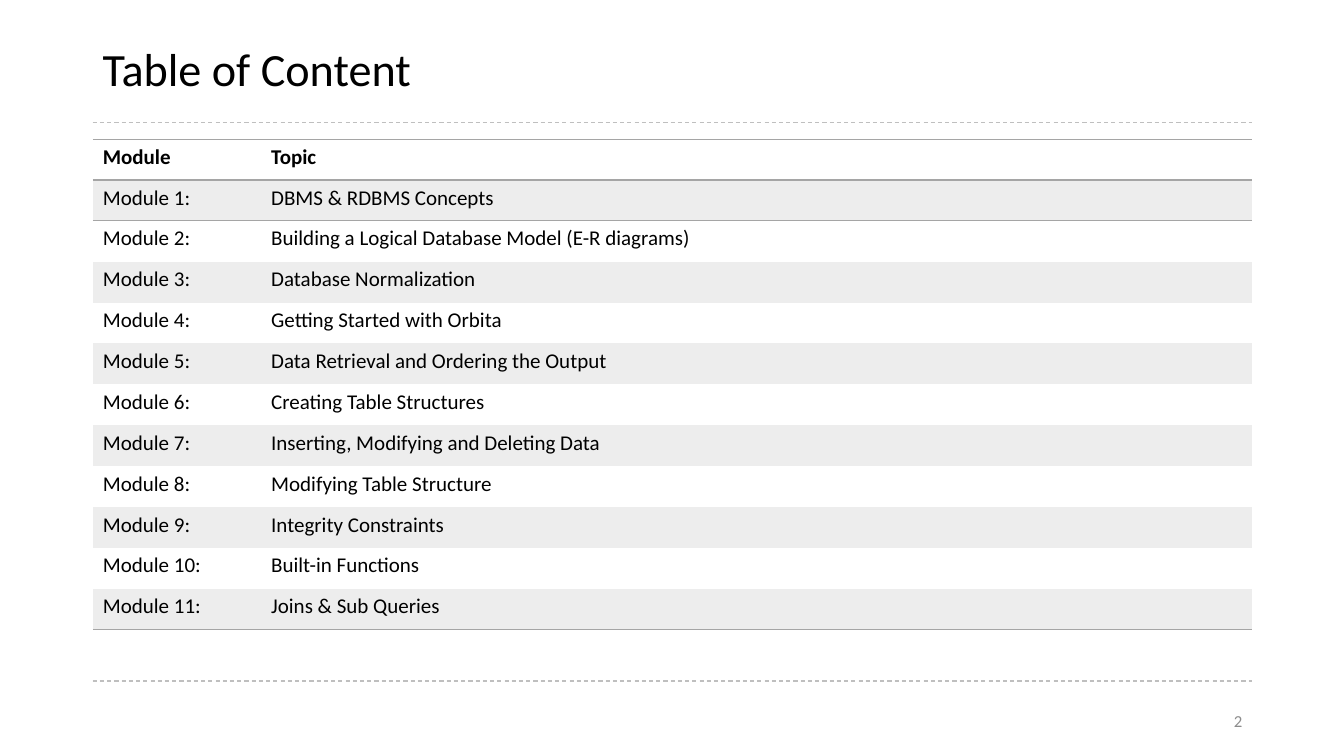
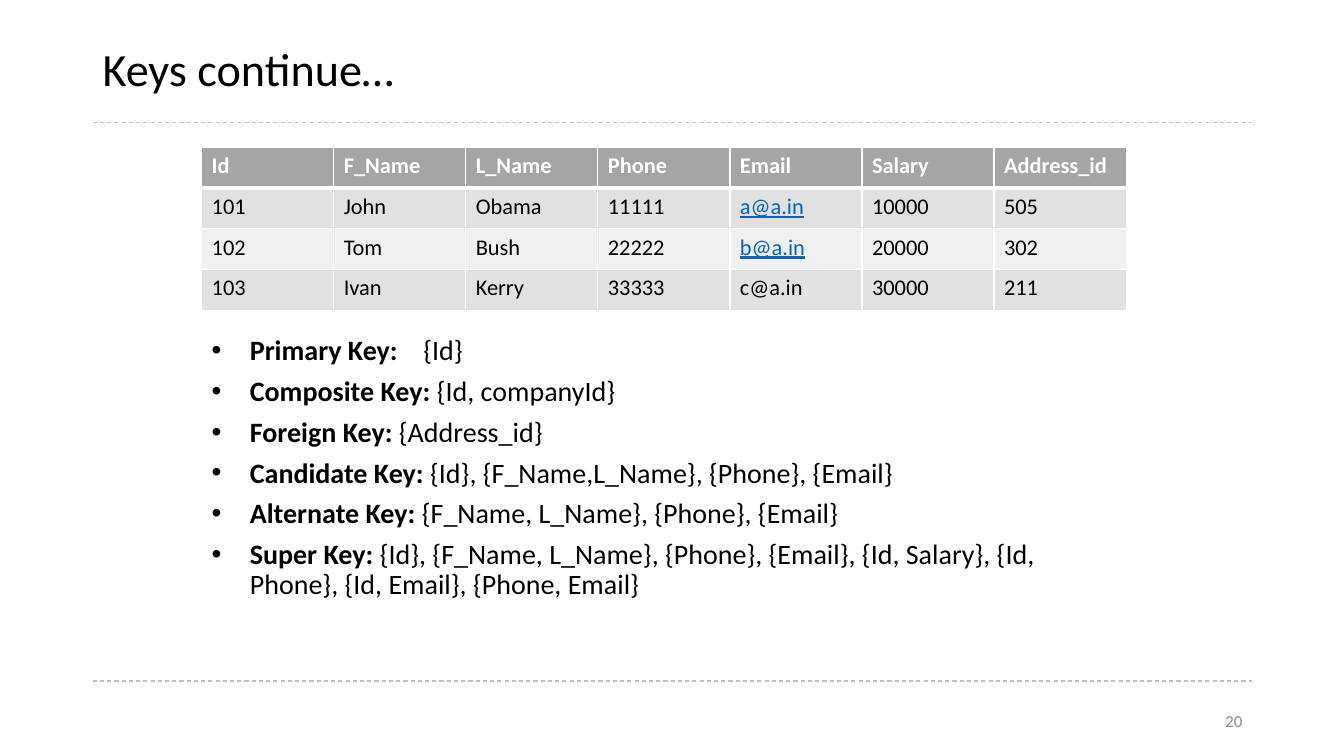
import pptx
import pptx.dml.color
import pptx.enum.dml
import pptx.enum.shapes
import pptx.enum.text
import pptx.oxml
import pptx.oxml.ns
import pptx.util
import lxml.etree

Inches = pptx.util.Inches
Pt = pptx.util.Pt
qn = pptx.oxml.ns.qn

COLORS = {
    "text": "000000",
    "white": "FFFFFF",
    "rule": "BFBFBF",
    "number": "8C8C8C",
    "accent": "A5A5A5",
    "topic_band": "EDEDED",
    "dark_band": "E1E1E1",
    "light_band": "F0F0F0",
    "email": "0563C1",
}
NO_STYLE_TABLE = "{2D5ABB26-0587-4C30-8999-92F81FD0307C}"
LEFT, WIDTH = 0.92, 11.5

TITLE = {"size": Pt(33)}
NUMBER = {"size": Pt(12), "color": "number"}
TOPIC = {"size": Pt(15)}
TOPIC_HEAD = {**TOPIC, "bold": True}
RECORD = {"size": Pt(16)}
RECORD_HEAD = {**RECORD, "bold": True, "color": "white"}
EMAIL = {**RECORD, "underline": True, "color": "email"}
KEY = {"size": Pt(20)}
KEY_NAME = {**KEY, "bold": True}

topics = [
    "DBMS & RDBMS Concepts",
    "Building a Logical Database Model (E-R diagrams)",
    "Database Normalization",
    "Getting Started with Orbita",
    "Data Retrieval and Ordering the Output",
    "Creating Table Structures",
    "Inserting, Modifying and Deleting Data",
    "Modifying Table Structure",
    "Integrity Constraints",
    "Built-in Functions",
    "Joins & Sub Queries",
]
modules_rows = [("Module", "Topic")]
modules_rows += [(f"Module {n}:", topic) for n, topic in enumerate(topics, 1)]

employees = [
    ("Id", "F_Name", "L_Name", "Phone", "Email", "Salary", "Address_id"),
    ("101", "John", "Obama", "11111", "a@a.in", "10000", "505"),
    ("102", "Tom", "Bush", "22222", "b@a.in", "20000", "302"),
    ("103", "Ivan", "Kerry", "33333", "c@a.in", "30000", "211"),
]
linked_emails = {"a@a.in", "b@a.in"}

keys = [
    ("Primary Key:\t", "{Id}"),
    ("Composite Key: ", "{Id, companyId}"),
    ("Foreign Key: ", "{Address_id}"),
    ("Candidate Key: ", "{Id}, {F_Name,L_Name}, {Phone}, {Email}"),
    ("Alternate Key: ", "{F_Name, L_Name}, {Phone}, {Email}"),
    ("Super Key: ", "{Id}, {F_Name, L_Name}, {Phone}, {Email}, {Id, Salary}, "
                    "{Id, Phone}, {Id, Email}, {Phone, Email}"),
]


def add_run(paragraph, text, style):
    run = paragraph.add_run()
    run.text = text
    values = {"name": "Calibri", "bold": False, "color": "text", **style}
    color = values.pop("color")
    for attribute, value in values.items():
        setattr(run.font, attribute, value)
    run.font.color.rgb = pptx.dml.color.RGBColor.from_string(COLORS[color])


def add_grid(slide, rows, box, widths, style_of, fill_of, borders_of):
    left, top, width, height = box
    table = slide.shapes.add_table(len(rows), len(widths), Inches(left), Inches(top),
                                   Inches(width), Inches(height)).table
    table.first_row = table.horz_banding = False
    table._tbl.tblPr.find(qn("a:tableStyleId")).text = NO_STYLE_TABLE
    for column, column_width in zip(table.columns, widths):
        column.width = Inches(column_width)
    for r, row in enumerate(rows):
        for c, text in enumerate(row):
            cell = table.cell(r, c)
            add_run(cell.text_frame.paragraphs[0], text, style_of(r, text))
            for side, (color, points) in borders_of(r).items():
                edge = lxml.etree.SubElement(cell._tc.get_or_add_tcPr(), qn(f"a:ln{side}"),
                                             w=str(Pt(points)))
                paint = lxml.etree.SubElement(edge, qn("a:solidFill"))
                lxml.etree.SubElement(paint, qn("a:srgbClr"), val=COLORS[color])
            fill = fill_of(r)
            if fill:
                cell.fill.solid()
                cell.fill.fore_color.rgb = pptx.dml.color.RGBColor.from_string(COLORS[fill])
            else:
                cell.fill.background()


deck = pptx.Presentation()
deck.slide_width, deck.slide_height = Inches(13.33), Inches(7.5)

# Shared frame: dashed rules, title and page number
pages = []
for title, number in [("Table of Content", "2"), ("Keys continue…", "20")]:
    page = deck.slides.add_slide(deck.slide_layouts[6])
    pages.append(page)
    for y in (1.22, 6.75, 6.76):
        rule = page.shapes.add_connector(pptx.enum.shapes.MSO_CONNECTOR.STRAIGHT, Inches(LEFT),
                                         Inches(y), Inches(LEFT + WIDTH), Inches(y))
        rule.line.width = Pt(0.75)
        rule.line.color.rgb = pptx.dml.color.RGBColor.from_string(COLORS["rule"])
        rule.line.dash_style = pptx.enum.dml.MSO_LINE.DASH
        lxml.etree.SubElement(rule._element.spPr, qn("a:effectLst"))
    for text, style, box, align, spacing in [
        (title, TITLE, (LEFT, 0.21, WIDTH, 1), "LEFT", 0.9),
        (number, NUMBER, (9.42, 6.95, 3, 0.4), "RIGHT", 1.0),
    ]:
        frame = page.shapes.add_textbox(*map(Inches, box)).text_frame
        frame.word_wrap = True
        frame.vertical_anchor = pptx.enum.text.MSO_ANCHOR.MIDDLE
        line = frame.paragraphs[0]
        line.alignment = pptx.enum.text.PP_ALIGN[align]
        line.line_spacing = spacing
        add_run(line, text, style)
contents_page, keys_page = pages

# Table of modules: shaded odd rows, rules around the header and at the end
header_rules = {"T": ("accent", 1), "B": ("accent", 1)}
module_borders = {0: header_rules, 1: {"T": ("accent", 1)}, len(topics): {"B": ("accent", 1)}}
add_grid(
    contents_page, modules_rows, (LEFT, 1.38, WIDTH, 4.87), (1.67, 9.83),
    style_of=lambda r, text: TOPIC if r else TOPIC_HEAD,
    fill_of=lambda r: "topic_band" if r % 2 else None,
    borders_of=lambda r: module_borders.get(r, {}),
)

# Table of employees: white grid, thicker under the header
add_grid(
    keys_page, employees, (2, 1.46, 9.17, 1.62), [9.17 / 7] * 7,
    style_of=lambda r, text: (RECORD_HEAD if r == 0
                              else EMAIL if text in linked_emails else RECORD),
    fill_of=lambda r: ("accent", "dark_band", "light_band", "dark_band")[r],
    borders_of=lambda r: {"L": ("white", 1), "R": ("white", 1),
                          "T": ("white", 3 if r == 1 else 1),
                          "B": ("white", 3 if r == 0 else 1)},
)

# Kinds of key
key_list = keys_page.shapes.add_textbox(Inches(2), Inches(3.29), Inches(9), Inches(3.21)).text_frame
key_list.word_wrap = True
for i, (name, columns) in enumerate(keys):
    item = key_list.add_paragraph() if i else key_list.paragraphs[0]
    properties = item._p.get_or_add_pPr()
    properties.set("marL", str(Inches(0.38)))
    properties.set("indent", str(-Inches(0.38)))
    lxml.etree.SubElement(properties, qn("a:buFont"), typeface="Arial")
    lxml.etree.SubElement(properties, qn("a:buChar"), char="•")
    if "\t" in name:
        stops = lxml.etree.SubElement(properties, qn("a:tabLst"))
        lxml.etree.SubElement(stops, qn("a:tab"), pos=str(Inches(2.1)), algn="l")
    item.line_spacing = 0.9
    if i:
        item.space_before = Pt(7.5)
    add_run(item, name, KEY_NAME)
    add_run(item, columns, KEY)

deck.save("out.pptx")
